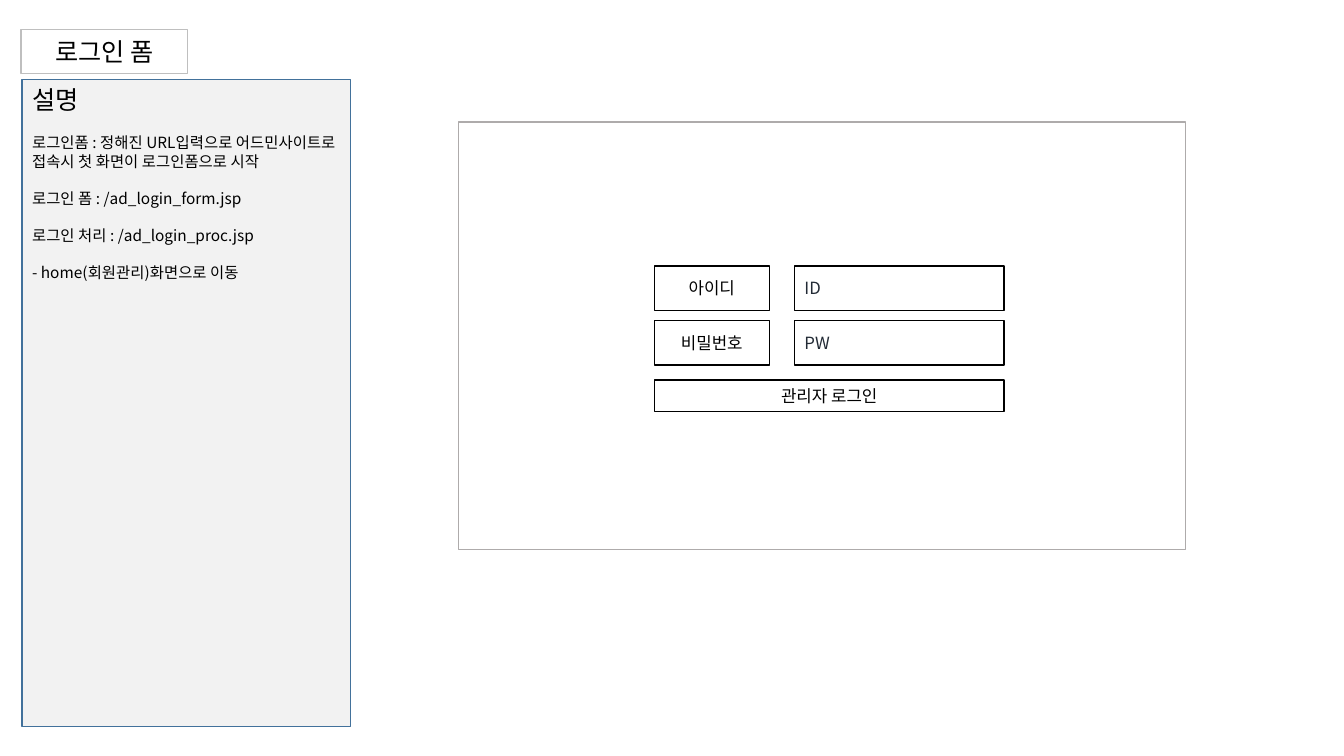
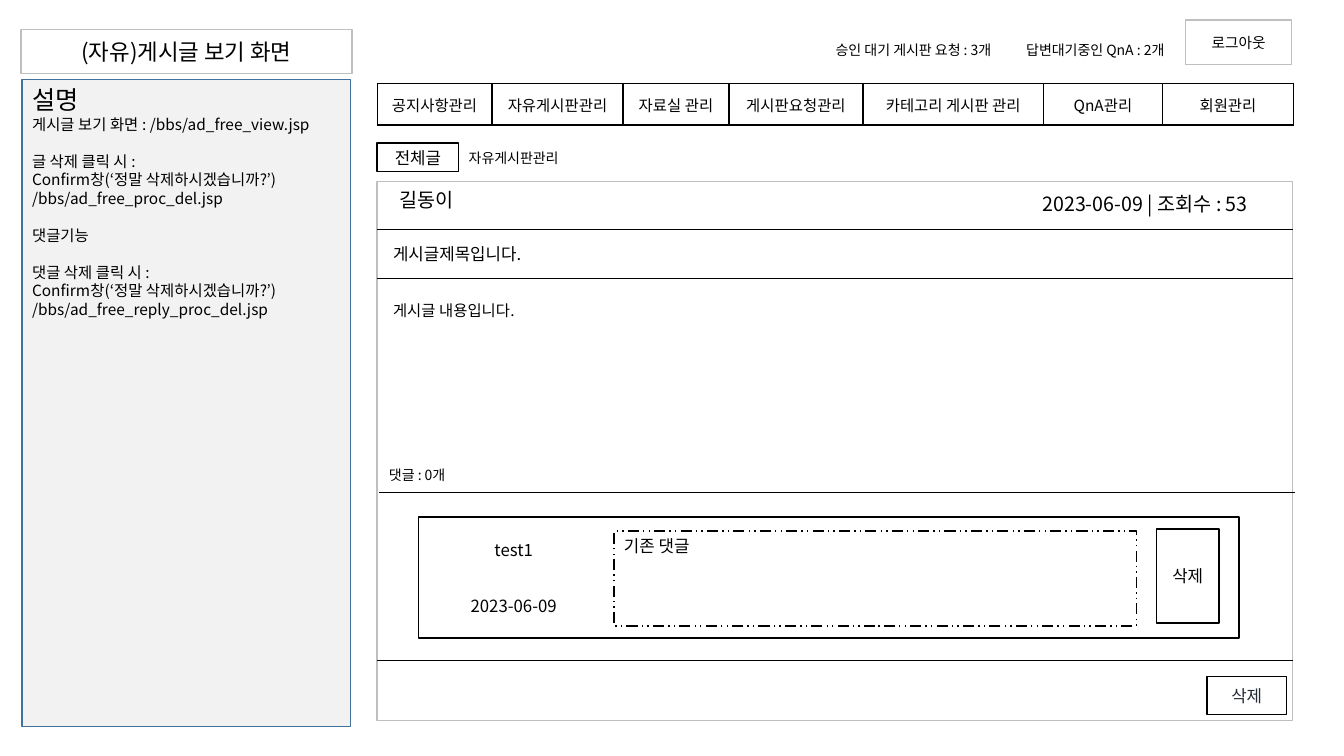
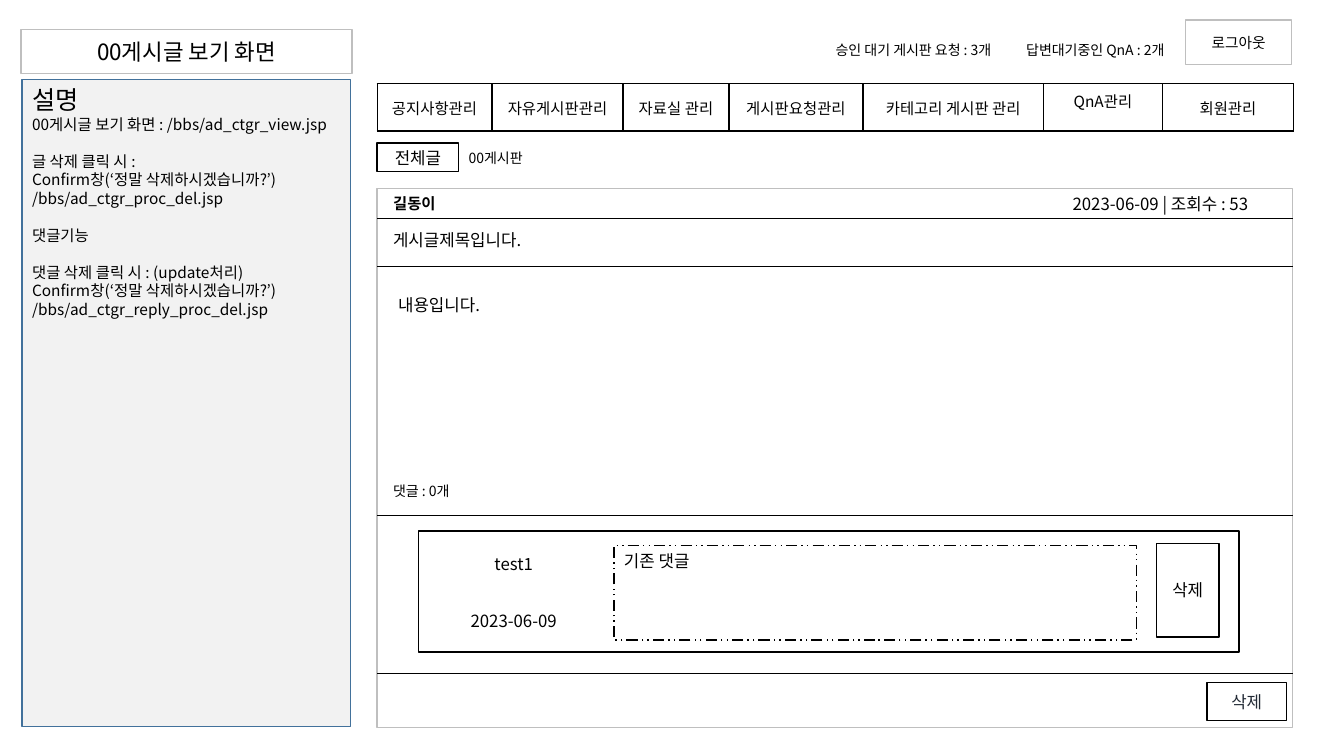
from dataclasses import dataclass

from lxml import etree
from pptx import Presentation
from pptx.dml.color import RGBColor
from pptx.enum.dml import MSO_LINE
from pptx.enum.shapes import MSO_CONNECTOR, MSO_SHAPE
from pptx.enum.text import MSO_ANCHOR, PP_ALIGN
from pptx.oxml.ns import qn
from pptx.util import Inches, Pt

RECTANGLE = MSO_SHAPE.RECTANGLE
STRAIGHT = MSO_CONNECTOR.STRAIGHT
DASH_DOT_DOT = MSO_LINE.DASH_DOT_DOT
LEFT, CENTER = PP_ALIGN.LEFT, PP_ALIGN.CENTER
TOP, MIDDLE = MSO_ANCHOR.TOP, MSO_ANCHOR.MIDDLE

FONT = "Noto Sans CJK KR"
COLORS = {
    "white": "FFFFFF",
    "panel": "F2F2F2",
    "panel_edge": "42719B",
    "pale_edge": "BFBFBF",
    "screen_edge": "AEABAB",
    "ink": "000000",
    "slate": "222A35",
}
FRAME = {
    "word_wrap": True,
    "margin_left": Inches(0.1),
    "margin_right": Inches(0.1),
    "margin_top": Inches(0.05),
    "margin_bottom": Inches(0.05),
}
BOARD_LEFT, BOARD_WIDTH, BOARD_HEIGHT = 3.74, 9.08, 5.35
MENU = [
    ("공지사항관리", 1.14),
    ("자유게시판관리", 1.3),
    ("자료실 관리", 1.05),
    ("게시판요청관리", 1.33),
    ("카테고리 게시판 관리", 1.79),
    ("QnA관리", 1.18),
    ("회원관리", 1.3),
]
CONFIRM = "Confirm창(‘정말 삭제하시겠습니까?’)"


@dataclass
class Post:
    title: str
    code: str
    view_label: str
    reply_note: str
    board_name: str
    menu_height: float
    qna_bottom: float
    board_top: float
    author: tuple
    author_size: float
    author_bold: bool
    stats: tuple
    stats_size: float
    subject: tuple
    content: tuple
    content_text: str
    content_size: float
    count: tuple
    rules: list
    reply_rule: tuple
    reply_top: float
    delete_top: float


def rgb(name):
    return RGBColor.from_string(COLORS[name])


def apply(target, values):
    for name, value in values.items():
        setattr(target, name, value)


def write(paragraph, text, size, color="ink", bold=False, align=LEFT):
    paragraph.alignment = align
    run = paragraph.add_run()
    run.text = text
    apply(run.font, {"name": FONT, "size": Pt(size), "bold": bold})
    run.font.color.rgb = rgb(color)
    east_asian = etree.SubElement(run.font._element, qn("a:ea"))
    east_asian.set("typeface", FONT)


def box(slide, at, text="", size=12, edge="ink", fill="white", color="ink",
        align=CENTER, anchor=MIDDLE, dash=None):
    shape = slide.shapes.add_shape(RECTANGLE, *map(Inches, at))
    shape.shadow.inherit = False
    shape.fill.solid()
    shape.fill.fore_color.rgb = rgb(fill)
    if edge:
        shape.line.color.rgb = rgb(edge)
        shape.line.width = Pt(1)
        if dash:
            shape.line.dash_style = dash
    else:
        shape.line.fill.background()
    apply(shape.text_frame, {**FRAME, "vertical_anchor": anchor})
    if text:
        write(shape.text_frame.paragraphs[0], text, size, color, align=align)
    return shape


def label(slide, at, text, size=10, bold=False):
    frame = slide.shapes.add_textbox(*map(Inches, at)).text_frame
    apply(frame, FRAME)
    write(frame.paragraphs[0], text, size, bold=bold)


def rule(slide, left, top):
    line = slide.shapes.add_connector(
        STRAIGHT, Inches(left), Inches(top), Inches(left + BOARD_WIDTH), Inches(top))
    line.line.color.rgb = rgb("ink")
    line.line.width = Pt(0.5)
    etree.SubElement(line._element.spPr, qn("a:effectLst"))


def heading(slide, title, width, size):
    box(slide, (0.21, 0.29, width, 0.44), title, size, edge="pale_edge")


def description(slide, blocks, first_gap=0):
    panel = box(slide, (0.22, 0.79, 3.26, 6.42), "설명", 18, edge="panel_edge",
                fill="panel", align=LEFT, anchor=TOP)
    gap = first_gap
    for block in blocks:
        for entry in block:
            paragraph = panel.text_frame.add_paragraph()
            paragraph.space_before = Pt(gap)
            write(paragraph, entry, 11)
            gap = 0
        gap = 13.2


def border(cell):
    properties = cell._tc.get_or_add_tcPr()
    for index, side in enumerate(("a:lnL", "a:lnR", "a:lnT", "a:lnB")):
        edge = etree.Element(qn(side), w=str(Pt(1)))
        solid = etree.SubElement(edge, qn("a:solidFill"))
        etree.SubElement(solid, qn("a:srgbClr"), val=COLORS["ink"])
        properties.insert(index, edge)


def menu(slide, height, qna_bottom):
    width = sum(width for _, width in MENU)
    table = slide.shapes.add_table(
        1, len(MENU), Inches(BOARD_LEFT), Inches(0.83), Inches(width), Inches(height)).table
    apply(table, {"first_row": False, "horz_banding": False})
    for column, (name, width) in enumerate(MENU):
        table.columns[column].width = Inches(width)
        cell = table.cell(0, column)
        cell.vertical_anchor = MIDDLE
        cell.fill.solid()
        cell.fill.fore_color.rgb = rgb("white")
        border(cell)
        write(cell.text_frame.paragraphs[0], name, 11, align=CENTER)
        if name == "QnA관리":
            cell.margin_bottom = Inches(qna_bottom)


def reply(slide, top):
    box(slide, (4.15, top, 8.14, 1.2))
    for text, offset in (("test1", 0.14), ("2023-06-09", 0.7)):
        box(slide, (4.37, top + offset, 1.45, 0.37), text, edge=None)
    box(slide, (6.09, top + 0.14, 5.18, 0.94), "기존 댓글", align=LEFT, anchor=TOP,
        dash=DASH_DOT_DOT)
    box(slide, (11.47, top + 0.12, 0.62, 0.93), "삭제")


def login_slide(slide):
    heading(slide, "로그인 폼", 1.65, 18)
    description(slide, [
        ["로그인폼 : 정해진 URL입력으로 어드민사이트로 접속시 첫 화면이 로그인폼으로 시작"],
        ["로그인 폼 : /ad_login_form.jsp"],
        ["로그인 처리 : /ad_login_proc.jsp"],
        ["- home(회원관리)화면으로 이동"],
    ], first_gap=13.2)
    box(slide, (4.55, 1.21, 7.21, 4.24), edge="screen_edge")
    for row, (name, hint) in enumerate((("아이디", "ID"), ("비밀번호", "PW"))):
        top = 2.64 + 0.54 * row
        box(slide, (6.49, top, 1.14, 0.44), name)
        box(slide, (7.88, top, 2.08, 0.44), hint, color="slate", align=LEFT)
    box(slide, (6.49, 3.77, 3.47, 0.31), "관리자 로그인")


def post_slide(slide, post):
    heading(slide, post.title, 3.28, 16)
    description(slide, [
        [f"{post.view_label} : /bbs/ad_{post.code}_view.jsp"],
        ["글 삭제 클릭 시 :", CONFIRM, f"/bbs/ad_{post.code}_proc_del.jsp"],
        ["댓글기능"],
        [f"댓글 삭제 클릭 시 :{post.reply_note}", CONFIRM,
         f"/bbs/ad_{post.code}_reply_proc_del.jsp"],
    ])
    box(slide, (BOARD_LEFT, 1.42, 0.81, 0.28), "전체글", anchor=TOP)
    label(slide, (4.55, 1.43, 1.25, 0.27), post.board_name)
    label(slide, (8.19, 0.36, 1.96, 0.27), "승인 대기 게시판 요청 : 3개")
    label(slide, (10.08, 0.36, 1.72, 0.27), "답변대기중인 QnA : 2개")
    box(slide, (11.76, 0.2, 1.05, 0.44), "로그아웃", 10.5, edge="pale_edge")
    menu(slide, post.menu_height, post.qna_bottom)

    box(slide, (BOARD_LEFT, post.board_top, BOARD_WIDTH, BOARD_HEIGHT), edge="pale_edge")
    box(slide, post.subject, "게시글제목입니다.", edge=None, align=LEFT)
    box(slide, post.content, post.content_text, post.content_size, edge=None,
        align=LEFT, anchor=TOP)
    label(slide, post.author, "길동이", post.author_size, post.author_bold)
    label(slide, post.stats, "2023-06-09 | 조회수 : 53", post.stats_size)
    label(slide, post.count, "댓글 : 0개")
    for top in post.rules:
        rule(slide, BOARD_LEFT, top)
    rule(slide, *post.reply_rule)
    reply(slide, post.reply_top)
    box(slide, (11.97, post.delete_top, 0.79, 0.38), "삭제", color="slate")


POSTS = [
    Post(
        title="(자유)게시글 보기 화면", code="free", view_label="게시글 보기 화면",
        reply_note="", board_name="자유게시판관리",
        menu_height=0.41, qna_bottom=0.05, board_top=1.8,
        author=(3.86, 1.82, 0.97, 0.34), author_size=14, author_bold=False,
        stats=(10.24, 1.85, 2.42, 0.34), stats_size=14,
        subject=(3.8, 2.36, 8.63, 0.31),
        content=(3.8, 2.94, 8.57, 1.35), content_text="게시글 내용입니다.", content_size=11,
        count=(3.76, 4.58, 1.17, 0.27),
        rules=[2.28, 2.76, 6.55], reply_rule=(3.76, 4.88),
        reply_top=5.13, delete_top=6.71,
    ),
    Post(
        title="00게시글 보기 화면", code="ctgr", view_label="00게시글 보기 화면",
        reply_note=" (update처리)", board_name="00게시판",
        menu_height=0.47, qna_bottom=0.19, board_top=1.87,
        author=(3.8, 1.88, 0.91, 0.29), author_size=11, author_bold=True,
        stats=(10.54, 1.87, 2.19, 0.3), stats_size=12,
        subject=(3.8, 2.22, 8.57, 0.31),
        content=(3.85, 2.87, 8.58, 0.71), content_text="내용입니다.", content_size=12,
        count=(3.8, 4.74, 1.17, 0.27),
        rules=[2.17, 2.64, 6.68], reply_rule=(BOARD_LEFT, 5.11),
        reply_top=5.27, delete_top=6.77,
    ),
]


def main():
    deck = Presentation()
    apply(deck, {"slide_width": Inches(13.33), "slide_height": Inches(7.5)})
    blank = deck.slide_layouts[6]
    login_slide(deck.slides.add_slide(blank))
    for post in POSTS:
        post_slide(deck.slides.add_slide(blank), post)
    deck.save("out.pptx")


main()
